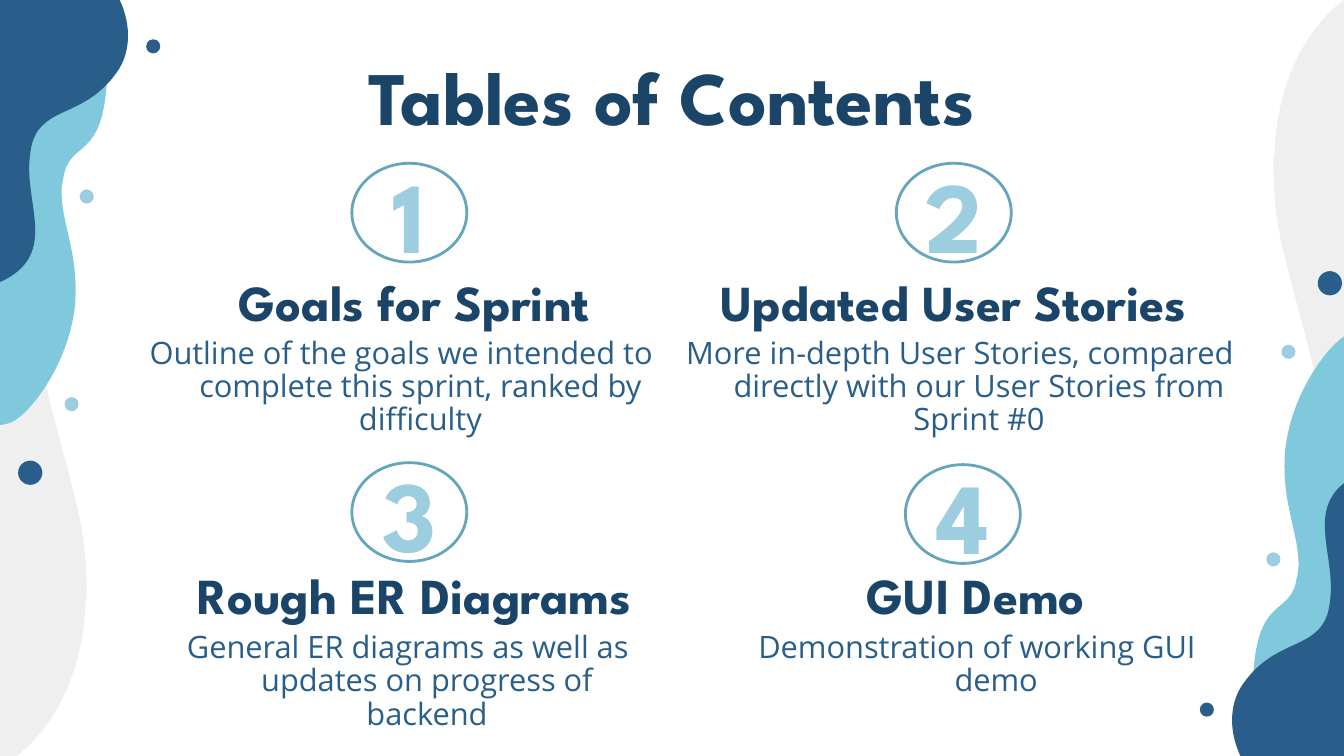
from dataclasses import dataclass

from lxml import etree
from pptx import Presentation
from pptx.dml.color import RGBColor
from pptx.enum.shapes import MSO_SHAPE
from pptx.enum.text import MSO_ANCHOR, MSO_AUTO_SIZE, PP_ALIGN
from pptx.oxml.ns import qn
from pptx.util import Inches, Pt


@dataclass(frozen=True)
class Theme:
    navy: str = "1A4568"
    blue: str = "285E89"
    aqua: str = "80C9DD"
    pale: str = "9DCEDF"
    ring: str = "66A5BB"
    grey: str = "EFEFEF"
    display: str = "League Spartan"
    body: str = "Open Sans"
    title_size: int = 54
    number_size: int = 72
    heading_size: int = 36
    body_size: int = 22


THEME = Theme()
INSET = Inches(0.1)
# Right-hand decoration is the left-hand one turned half a circle
TURN_X, TURN_Y = 13.49, 7.5

# Each blob: colour, start point, then segments (2 numbers: line, 6: curve)
BLOBS = [
    (THEME.grey, (-0.13, 1.92), [
        (-0.16, 2.64, -0.16, 3.35, -0.17, 4.07),
        (-0.18, 4.75, -0.2, 5.42, -0.23, 6.1),
        (-0.26, 7.1),
        (-0.27, 7.14, -0.27, 7.18, -0.27, 7.23),
        (-0.28, 7.41, -0.27, 7.65, -0.08, 7.61),
        (0.16, 7.57, 0.4, 7.3, 0.53, 7.09),
        (0.74, 6.76, 0.84, 6.35, 0.85, 5.95),
        (0.86, 5.93),
        (0.86, 5.72, 0.85, 5.51, 0.82, 5.31),
        (0.78, 5.05, 0.71, 4.8, 0.64, 4.54),
        (0.47, 3.9, 0.3, 3.25, 0.24, 2.57),
        (0.21, 2.21, 0.21, 1.84, 0.22, 1.48),
        (0.23, 1.2, 0.25, 0.92, 0.27, 0.64),
        (0.17, 0.64, 0.06, 0.64, -0.04, 0.63),
        (-0.09, 1.06, -0.11, 1.49, -0.13, 1.92),
    ]),
    (THEME.aqua, (-0.35, 2.53), [
        (-0.35, 3.08, -0.31, 3.63, -0.22, 4.28),
        (-0.13, 4.23, 0.04, 4.22, 0.11, 4.19),
        (0.28, 4.12, 0.64, 3.67, 0.73, 3.13),
        (0.75, 3.03, 0.75, 2.94, 0.75, 2.86),
        (0.75, 2.47, 0.61, 2.18, 0.61, 1.9),
        (0.61, 1.85, 0.62, 1.8, 0.63, 1.76),
        (0.69, 1.38, 1.02, 1.61, 1.06, 0.79),
        (0.62, 0.89, 0.18, 0.87, -0.26, 0.84),
        (-0.32, 1.47, -0.35, 2, -0.35, 2.53),
    ]),
    (THEME.blue, (1.27, 0.35), [
        (1.27, 0.05, 1.07, -0.2, 1.07, -0.2),
        (-0.17, -0.19),
        (-0.17, 2.86),
        (0.25, 2.74, 0.35, 2.53, 0.35, 2.29),
        (0.35, 2.1, 0.29, 1.88, 0.29, 1.67),
        (0.29, 1.59, 0.3, 1.5, 0.32, 1.42),
        (0.43, 1.05, 0.83, 1.17, 1.15, 0.73),
        (1.24, 0.61, 1.27, 0.48, 1.27, 0.35),
    ]),
]

# Each dot: centre x, centre y, diameter, colour
DOTS = [
    (0.3, 4.69, 0.24, THEME.blue),
    (1.52, 0.46, 0.14, THEME.blue),
    (0.86, 1.95, 0.14, THEME.pale),
    (0.71, 4.01, 0.14, THEME.pale),
]

# Each entry: ring centre, heading (left, top, width), body (left, top, width)
ENTRIES = [
    ((4.06, 2.11), "Goals for Sprint", (1.36, 2.73, 5.38),
     "Outline of the goals we intended to complete this sprint, "
     "ranked by difficulty", (0.99, 3.25, 5.86)),
    ((9.46, 2.11), "Updated User Stories", (6.61, 2.73, 5.58),
     "More in-depth User Stories, compared directly with our "
     "User Stories from Sprint #0", (6.24, 3.25, 6.44)),
    ((4.06, 5.08), "Rough ER Diagrams", (1.36, 5.64, 5.38),
     "General ER diagrams as well as updates on progress of backend",
     (1.36, 6.17, 5.25)),
    ((9.55, 5.1), "GUI Demo", (6.23, 5.64, 6.78),
     "Demonstration of working GUI demo", (6.94, 6.17, 5.38)),
]


def rgb(color):
    return RGBColor.from_string(color)


def place(x, y, turned):
    return (TURN_X - x, TURN_Y - y) if turned else (x, y)


def add_blob(slide, color, start, segments, turned):
    def emu(x, y):
        return tuple(Inches(v) for v in place(x, y, turned))

    points = [emu(*seg[i:i + 2]) for seg in segments
              for i in range(0, len(seg), 2)]
    builder = slide.shapes.build_freeform(*emu(*start), scale=1.0)
    builder.add_line_segments(points, close=True)
    sp = builder.convert_to_shape()
    # Join each run of three points into one Bézier curve
    lines = iter(list(sp.element.iter(qn("a:lnTo"))))
    for seg in segments:
        first = next(lines)
        if len(seg) == 6:
            curve = etree.Element(qn("a:cubicBezTo"))
            first.addprevious(curve)
            for line in (first, next(lines), next(lines)):
                curve.append(line[0])
                line.getparent().remove(line)
    paint(sp, fill=color)


def paint(sp, fill=None, line=None):
    sp.shadow.inherit = False
    if fill:
        sp.fill.solid()
        sp.fill.fore_color.rgb = rgb(fill)
    else:
        sp.fill.background()
    if line:
        sp.line.color.rgb = rgb(line)
        sp.line.width = Pt(2)
    else:
        sp.line.fill.background()


def add_ellipse(slide, cx, cy, width, height, **colors):
    sp = slide.shapes.add_shape(
        MSO_SHAPE.OVAL, Inches(cx - width / 2), Inches(cy - height / 2),
        Inches(width), Inches(height))
    paint(sp, **colors)


def write(sp, text, font, size, color, anchor, hanging=False, spacing=1.0):
    tf = sp.text_frame
    tf.text = text
    tf.word_wrap = True
    tf.auto_size = MSO_AUTO_SIZE.NONE
    tf.vertical_anchor = anchor
    tf.margin_left = tf.margin_right = INSET
    tf.margin_top = tf.margin_bottom = INSET
    p = tf.paragraphs[0]
    p.alignment = PP_ALIGN.CENTER
    p.line_spacing = spacing
    if hanging:
        pPr = p._p.get_or_add_pPr()
        pPr.set("marL", str(Inches(0.5)))
        pPr.set("indent", str(Inches(-0.38)))
    r = p.runs[0]
    r.font.name, r.font.size = font, Pt(size)
    r.font.bold = font == THEME.display
    r.font.color.rgb = rgb(color)


def add_text(slide, left, top, width, height, *args, **kwargs):
    sp = slide.shapes.add_textbox(
        Inches(left), Inches(top), Inches(width), Inches(height))
    write(sp, *args, **kwargs)


def add_entry(slide, number, centre, heading, heading_at, body, body_at):
    cx, cy = centre
    add_text(slide, *heading_at, 0.52, heading, THEME.display,
             THEME.heading_size, THEME.navy, MSO_ANCHOR.MIDDLE, hanging=True)
    add_text(slide, *body_at, 0.86, body, THEME.body, THEME.body_size,
             THEME.blue, MSO_ANCHOR.TOP, hanging=True, spacing=0.9)
    add_text(slide, cx - 0.76, cy - 0.48, 1.52, 0.97, str(number),
             THEME.display, THEME.number_size, THEME.pale, MSO_ANCHOR.MIDDLE)
    add_ellipse(slide, cx, cy, 1.14, 0.98, line=THEME.ring)


def main():
    prs = Presentation()
    prs.slide_width, prs.slide_height = Inches(13.33), Inches(7.5)
    slide = prs.slides.add_slide(prs.slide_layouts[5])

    # Corner decoration, left then right
    for turned in (False, True):
        for color, start, segments in BLOBS:
            add_blob(slide, color, start, segments, turned)
        for x, y, size, color in DOTS:
            add_ellipse(slide, *place(x, y, turned), size, size, fill=color)

    # Title
    title = slide.shapes.title
    title.left, title.top = Inches(2.29), Inches(0.39)
    title.width, title.height = Inches(8.74), Inches(0.84)
    write(title, "Tables of Contents", THEME.display, THEME.title_size,
          THEME.navy, MSO_ANCHOR.TOP)

    # Numbered contents
    for number, entry in enumerate(ENTRIES, start=1):
        add_entry(slide, number, *entry)

    prs.save("out.pptx")


if __name__ == "__main__":
    main()
